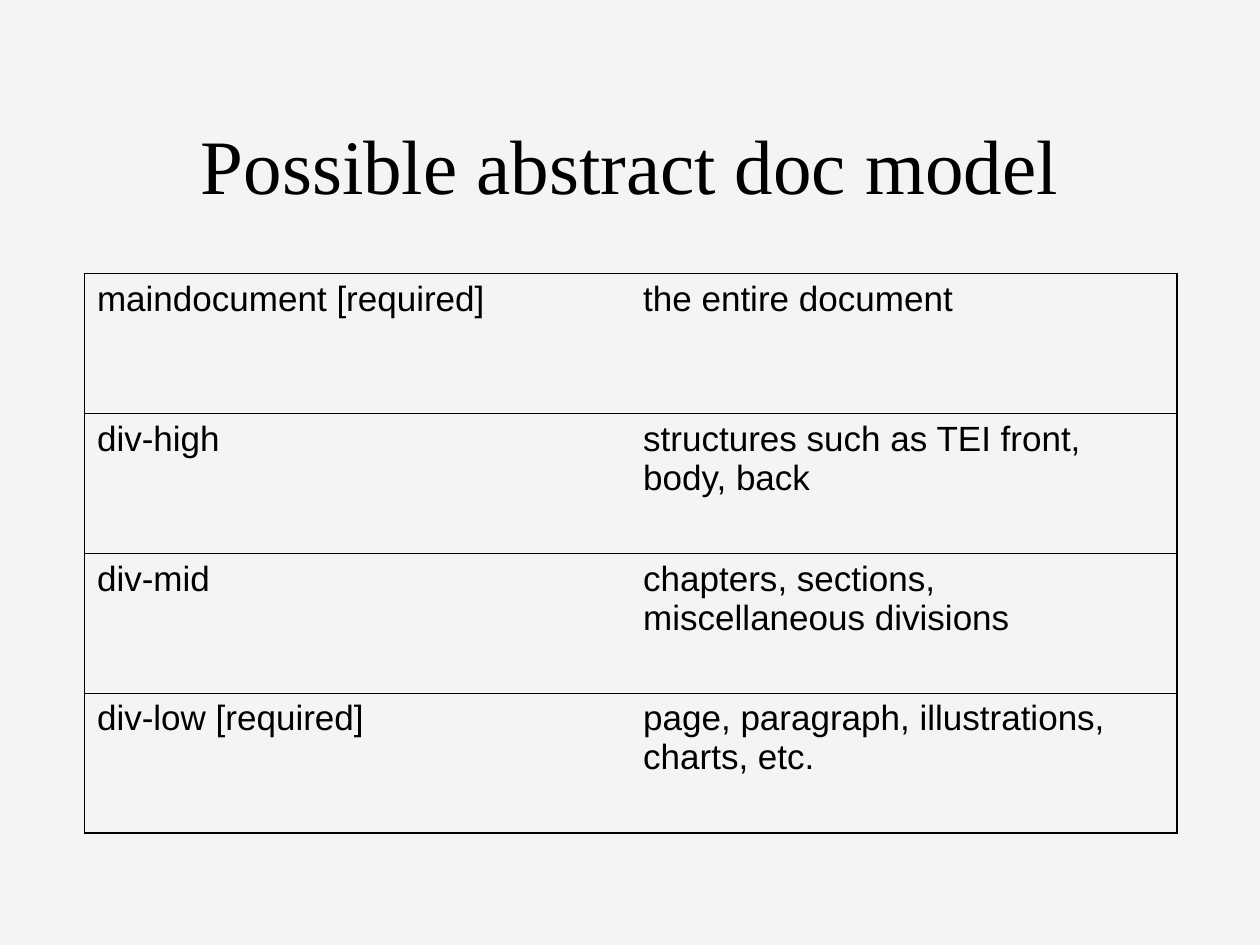
from dataclasses import dataclass

import pptx
import pptx.dml.color
import pptx.enum.text
import pptx.oxml.ns
import pptx.slide
import pptx.table
import pptx.util
from lxml import etree
from pptx.util import Inches

BLACK = pptx.dml.color.RGBColor(0x00, 0x00, 0x00)
BACKGROUND = pptx.dml.color.RGBColor(0xF4, 0xF4, 0xF4)
OUTER_PT, INNER_PT = 1.08, 0.45
NO_STYLE_ID = "{2D5ABB26-0587-4C30-8999-92F81FD0307C}"


@dataclass
class Level:
    name: str
    meaning: str


LEVELS = [
    Level("maindocument [required]", "the entire document"),
    Level("div-high", "structures such as TEI front, body, back"),
    Level("div-mid", "chapters, sections, miscellaneous divisions"),
    Level("div-low [required]", "page, paragraph, illustrations, charts, etc."),
]


def write(tf: pptx.text.text.TextFrame, text: str, font: str, size: int) -> None:
    p = tf.paragraphs[0]
    p.text = text
    p.font.name = font
    p.font.size = pptx.util.Pt(size)
    p.font.color.rgb = BLACK


def set_border(cell: pptx.table._Cell, side: str, width: float) -> None:
    """Draw one side (L, R, T or B) in black; a width of 0 means no line."""
    qn = pptx.oxml.ns.qn
    tc_pr = cell._tc.get_or_add_tcPr()
    ln = etree.SubElement(tc_pr, qn(f"a:ln{side}"), w=str(int(pptx.util.Pt(width))))
    if width:
        fill = etree.SubElement(ln, qn("a:solidFill"))
        etree.SubElement(fill, qn("a:srgbClr"), val=str(BLACK))
    else:
        etree.SubElement(ln, qn("a:noFill"))


def add_title(s: pptx.slide.Slide, text: str) -> None:
    sp = s.shapes.add_textbox(Inches(0.75), Inches(0.67), Inches(8.5), Inches(1.25))
    tf = sp.text_frame
    tf.word_wrap = True
    tf.vertical_anchor = pptx.enum.text.MSO_ANCHOR.MIDDLE
    write(tf, text, "Times New Roman", 44)
    tf.paragraphs[0].alignment = pptx.enum.text.PP_ALIGN.CENTER


def add_level_table(s: pptx.slide.Slide, levels: list[Level]) -> None:
    frame = s.shapes.add_table(len(levels), 2, Inches(0.67), Inches(2.17),
                               Inches(8.67), Inches(4.44))
    table = frame.table
    table.first_row = table.horz_banding = False
    table._tbl.tblPr.find(pptx.oxml.ns.qn("a:tableStyleId")).text = NO_STYLE_ID
    last = len(levels) - 1
    for row, level in enumerate(levels):
        for col, text in enumerate((level.name, level.meaning)):
            cell = table.cell(row, col)
            write(cell.text_frame, text, "Arial", 20)
            set_border(cell, "L", OUTER_PT if col == 0 else 0)
            set_border(cell, "R", OUTER_PT if col == 1 else 0)
            set_border(cell, "T", OUTER_PT if row == 0 else INNER_PT)
            set_border(cell, "B", OUTER_PT if row == last else INNER_PT)
            cell.fill.background()


def main() -> None:
    prs = pptx.Presentation()
    prs.slide_width, prs.slide_height = Inches(10), Inches(7.5)
    s = prs.slides.add_slide(prs.slide_layouts[6])
    s.background.fill.solid()
    s.background.fill.fore_color.rgb = BACKGROUND
    add_title(s, "Possible abstract doc model")
    add_level_table(s, LEVELS)
    prs.save("out.pptx")


if __name__ == "__main__":
    main()
